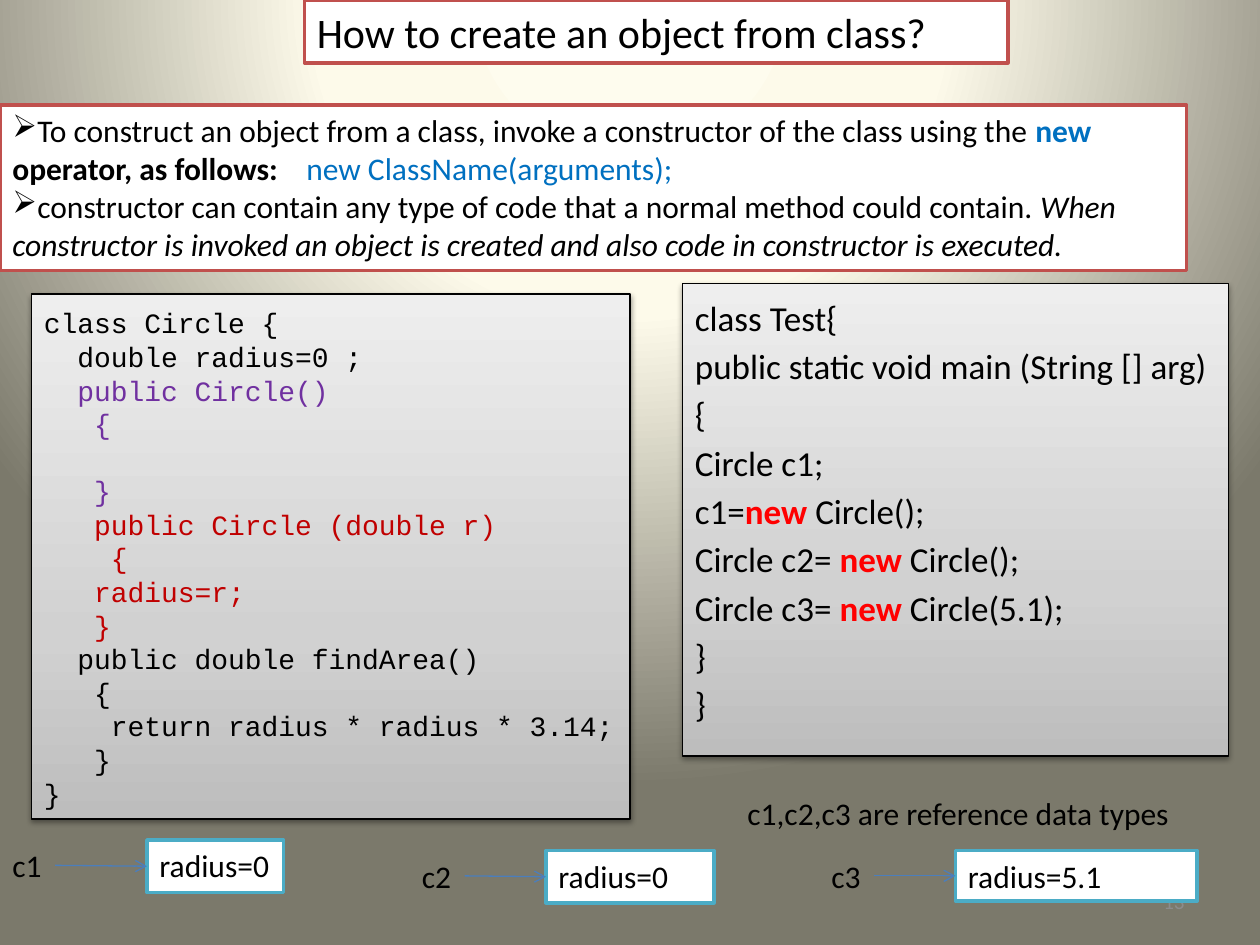
from lxml import etree
from pptx import Presentation
from pptx.dml.color import RGBColor
from pptx.enum import shapes, text
from pptx.oxml import ns, parse_xml
from pptx.util import Pt

THEME = dict(
    black="000000", white="FFFFFF", purple="7030A0", dark_red="C00000", red="FF0000",
    blue="0070C0", frame="C0504D", teal="4BACC6", arrow="4B7EBC", grey="8C8C8C",
    backdrop=[(0, "FEFCEE"), (40, "FDFAEA"), (100, "7B796B")],
    panel=[(0, "BDBDBD"), (35, "D1D1D1"), (100, "EEEEEE")],
    body="Calibri", code="Courier New",
    title_size=24, test_size=20, body_size=18, code_size=16, number_size=12,
)

# A paragraph is a list of spans: (text, colour, style), style being "", "b" or "i".
TITLE = [[("How to create an object from class?", "black", "")]]
RULES = [
    [("To construct an object from a class, invoke a constructor of the class using the ",
      "black", ""), ("new", "blue", "b"), (" operator, as follows:", "black", "b"),
     ("\tnew ClassName(arguments);", "blue", "")],
    [("constructor can contain any type of code that a normal method could contain. ",
      "black", ""),
     ("When constructor is invoked an object is created and also code in constructor "
      "is executed.", "black", "i")],
]
CIRCLE_CODE = [
    ("black", ["class Circle {", "  double radius=0 ;"]),
    ("purple", ["  public Circle()", "   {", "    ", "   }"]),
    ("dark_red", ["   public Circle (double r)", "    {", "   radius=r;", "   }"]),
    ("black", ["  public double findArea()", "   {", "    return radius * radius * 3.14;",
               "   }", "}"]),
]
TEST_CODE = ["class Test{", "public static void main (String [] arg)", "{", "Circle c1;",
             "c1=new Circle();", "Circle c2= new Circle();", "Circle c3= new Circle(5.1);",
             "}", "}"]
NOTE = [[("c1,c2,c3 are reference data types", "black", "")]]
NUMBER = [[("13", "grey", "")]]
# name, value, label left, row top, value box left, width, height
REFERENCES = [
    ("c1", "radius=0", 0, 480, 84, 78, 30),
    ("c2", "radius=0", 234, 486, 312, 96, 30),
    ("c3", "radius=5.1", 468, 486, 546, 138, 29),
]
LABEL_SIZE = (31.5, 29)


def colour(name):
    return RGBColor.from_string(THEME[name])


def gradient(stops, direction):
    marks = "".join(f'<a:gs pos="{at * 1000}"><a:srgbClr val="{rgb}"/></a:gs>'
                    for at, rgb in stops)
    return parse_xml(f'<a:gradFill {ns.nsdecls("a")} rotWithShape="1">'
                     f'<a:gsLst>{marks}</a:gsLst>{direction}</a:gradFill>')


def paint_gradient(fill, owner, stops, direction):
    fill.gradient()
    plain = next(owner.iter(ns.qn("a:gradFill")))
    plain.getparent().replace(plain, gradient(stops, direction))


def write(box, paragraphs, size, font="body", align=text.PP_ALIGN.LEFT,
          anchor=text.MSO_ANCHOR.TOP, top=3.6, before=0, pitch=None, bullet=None, tab=None):
    """Fill a box; before is the gap between paragraphs, pitch an exact line height."""
    frame = box.text_frame
    frame.word_wrap = True
    frame.vertical_anchor = anchor
    frame.margin_top = Pt(top)
    for index, spans in enumerate(paragraphs):
        para = frame.paragraphs[0] if index == 0 else frame.add_paragraph()
        para.alignment = align
        if index and before:
            para.space_before = Pt(before)
        if pitch:
            para.line_spacing = Pt(pitch)
        properties = para._p.get_or_add_pPr()
        if bullet:
            etree.SubElement(properties, ns.qn("a:buChar"), char=bullet)
        if tab:
            stops = etree.SubElement(properties, ns.qn("a:tabLst"))
            etree.SubElement(stops, ns.qn("a:tab"), pos=str(Pt(tab)), algn="l")
        para.font.name = THEME[font]
        para.font.size = Pt(THEME[size])
        para.font.color.rgb = colour(spans[0][1])
        for words, shade, style in spans:
            span = para.add_run()
            span.text = words
            if shade != spans[0][1]:
                span.font.color.rgb = colour(shade)
            if style == "b":
                span.font.bold = True
            elif style == "i":
                span.font.italic = True


def add_text(page, place, paragraphs, size="body_size", **options):
    box = page.shapes.add_textbox(*map(Pt, place))
    write(box, paragraphs, size, **options)
    return box


def add_box(page, place, line, weight):
    box = page.shapes.add_shape(shapes.MSO_SHAPE.RECTANGLE, *map(Pt, place))
    box.shadow.inherit = False
    box.line.color.rgb = colour(line)
    box.line.width = Pt(weight)
    return box


def add_framed(page, place, line, paragraphs, size="body_size", **options):
    box = add_box(page, place, line, 2)
    box.fill.solid()
    box.fill.fore_color.rgb = colour("white")
    write(box, paragraphs, size, **options)
    return box


def add_panel(page, place, paragraphs, size, **options):
    box = add_box(page, place, "black", 0.75)
    paint_gradient(box.fill, box.element, THEME["panel"],
                   '<a:lin ang="16200000" scaled="0"/>')
    effects = box.element.spPr.find(ns.qn("a:effectLst"))
    shadow = etree.SubElement(effects, ns.qn("a:outerShdw"), blurRad=str(Pt(3.1)),
                              dist=str(Pt(1.6)), dir="5400000", rotWithShape="0")
    shade = etree.SubElement(shadow, ns.qn("a:srgbClr"), val=THEME["black"])
    etree.SubElement(shade, ns.qn("a:alpha"), val="38000")
    write(box, paragraphs, size, **options)


def add_arrow(page, start, end):
    arrow = page.shapes.add_connector(shapes.MSO_CONNECTOR.STRAIGHT, 0, 0, 0, 0)
    arrow.begin_connect(start, 3)
    arrow.end_connect(end, 1)
    arrow.line.color.rgb = colour("arrow")
    arrow.line.width = Pt(0.75)
    etree.SubElement(arrow.line._get_or_add_ln(), ns.qn("a:tailEnd"), type="arrow")
    etree.SubElement(arrow.element.spPr, ns.qn("a:effectLst"))


def highlight_new(line):
    before, keyword, after = line.partition("new")
    spans = [(before, "black", ""), (keyword, "red", "b"), (after, "black", "")]
    return [span for span in spans if span[0]]


def main():
    deck = Presentation()
    deck.slide_width, deck.slide_height = Pt(720), Pt(540)
    page = deck.slides.add_slide(deck.slide_layouts[6])
    paint_gradient(page.background.fill, page.element, THEME["backdrop"],
                   '<a:path path="circle">'
                   '<a:fillToRect l="50000" t="-80000" r="50000" b="180000"/></a:path>')

    add_text(page, (516, 500.5, 168, 28.75), NUMBER, "number_size",
             align=text.PP_ALIGN.RIGHT, anchor=text.MSO_ANCHOR.MIDDLE)
    circle = [[(line, shade, "")] for shade, lines in CIRCLE_CODE for line in lines]
    add_panel(page, (18, 168, 342, 300), circle, "code_size", font="code", top=6.8, pitch=19.2)
    add_panel(page, (390, 162, 312, 270), [highlight_new(line) for line in TEST_CODE],
              "test_size", top=7.2, before=3.6)
    add_framed(page, (174, 0, 402, 36), "frame", TITLE, "title_size")
    add_framed(page, (0, 60, 678, 94.5), "frame", RULES, bullet="➢", tab=168)

    for name, value, left, top, box_left, width, height in REFERENCES:
        box = add_framed(page, (box_left, top, width, height), "teal", [[(value, "black", "")]])
        label = add_text(page, (left, top, *LABEL_SIZE), [[(name, "black", "")]])
        add_arrow(page, label, box)
    add_text(page, (420, 450, 270, 29), NOTE)
    deck.save("out.pptx")


if __name__ == "__main__":
    main()
